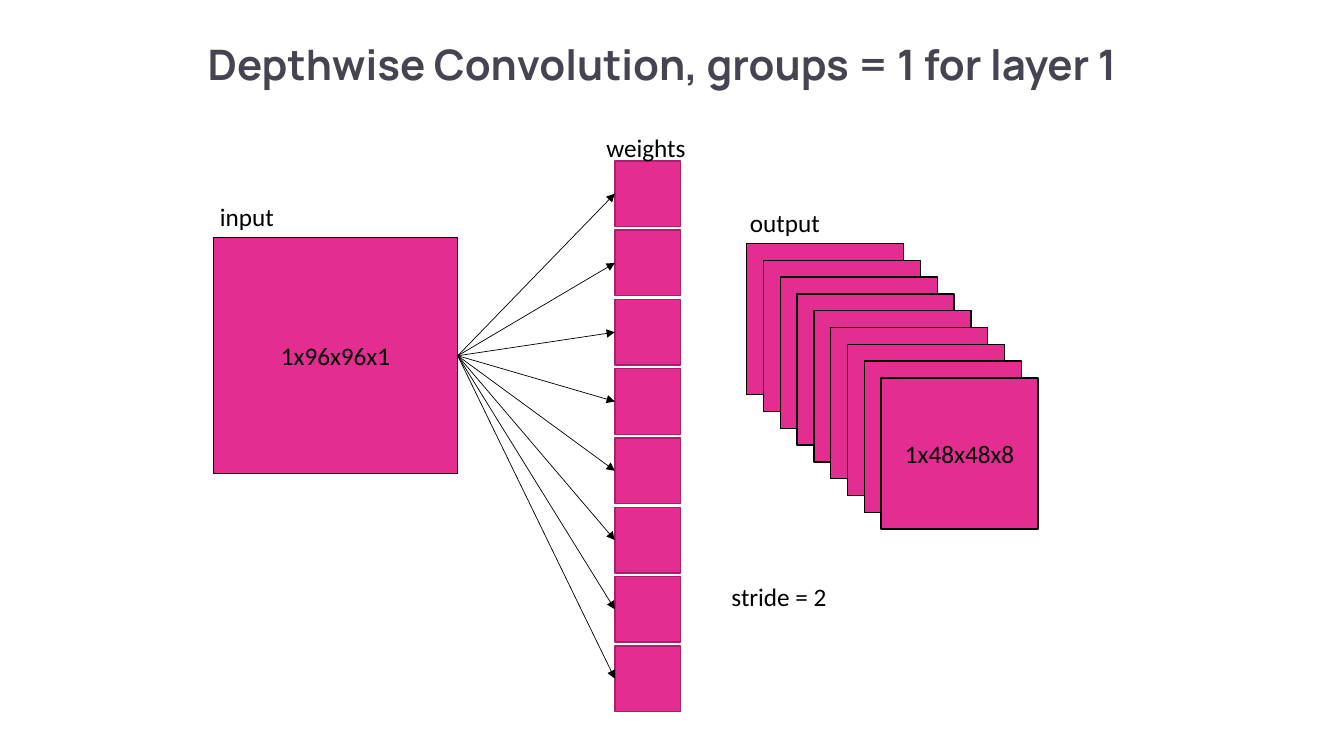
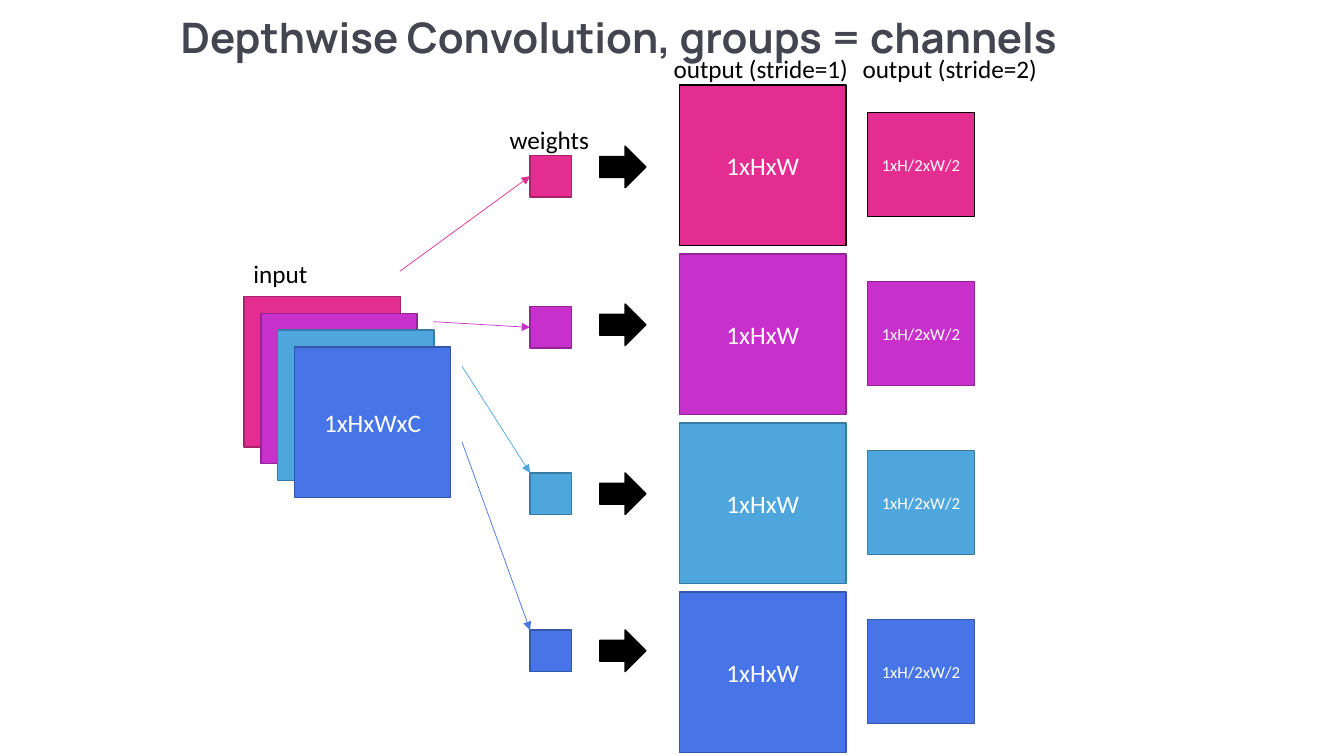
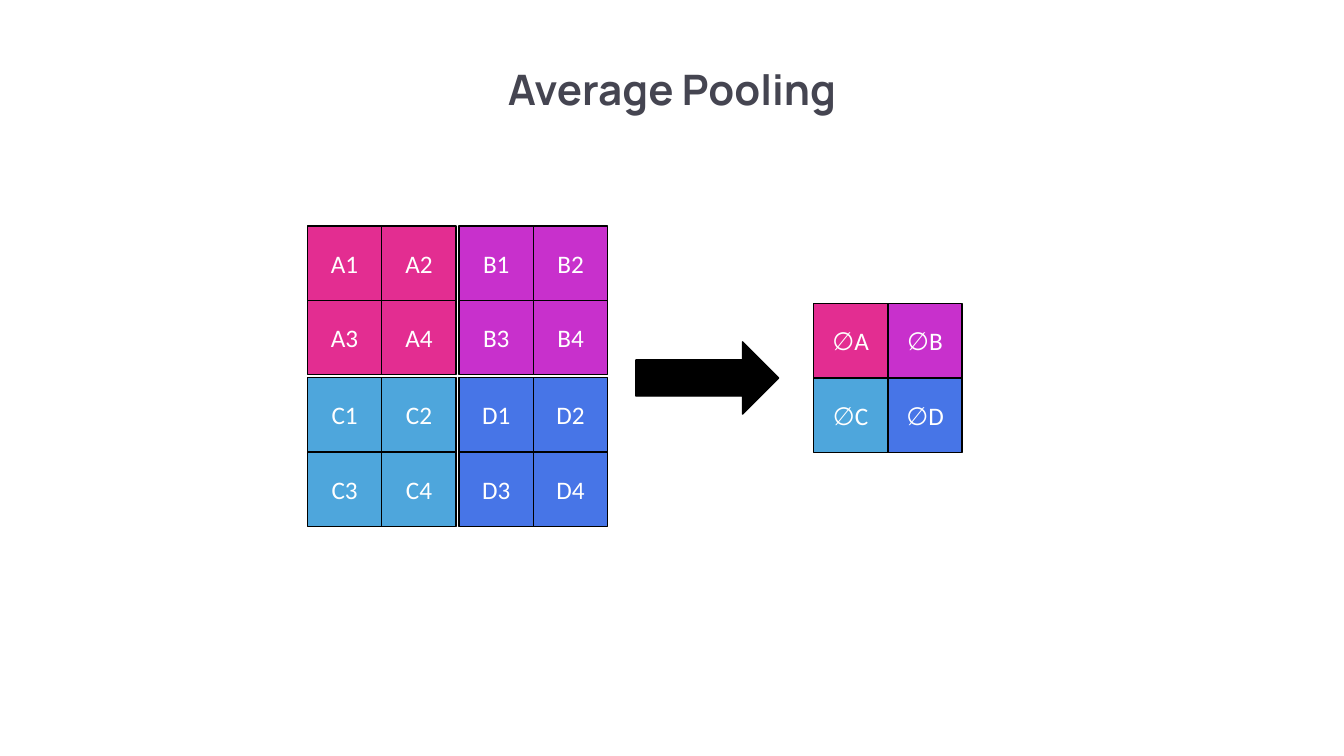
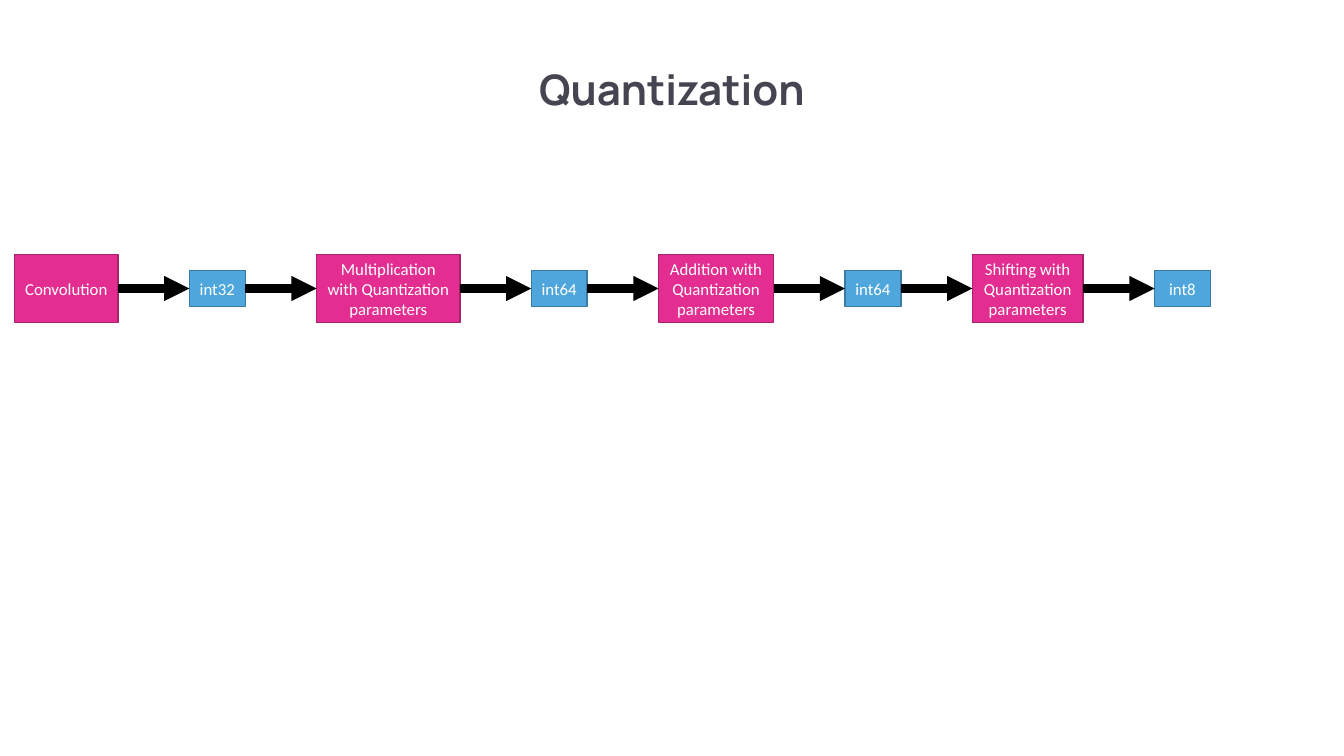
from lxml import etree
from pptx import Presentation
from pptx.dml.color import RGBColor
from pptx.enum.shapes import MSO_CONNECTOR, MSO_SHAPE
from pptx.enum.text import MSO_ANCHOR, MSO_AUTO_SIZE, PP_ALIGN
from pptx.oxml.ns import qn
from pptx.util import Emu, Pt

RECT = MSO_SHAPE.RECTANGLE
ARROW = MSO_SHAPE.RIGHT_ARROW
LINE = MSO_CONNECTOR.STRAIGHT
MID = MSO_ANCHOR.MIDDLE
LEFT, CENTER = PP_ALIGN.LEFT, PP_ALIGN.CENTER
FIT = MSO_AUTO_SIZE.SHAPE_TO_FIT_TEXT

COLS, ROWS = 160, 90  # square cells over a 16:9 slide
CELL = 76200  # one twelfth of an inch
COLORS = {
    "ink": "454551", "black": "000000", "white": "FFFFFF",
    "pink": "E32D91", "pink edge": "A8216B",
    "plum": "C830CC", "plum edge": "942497",
    "sky": "4EA6DC", "sky edge": "3A7BA3",
    "blue": "4775E7", "blue edge": "3557AB",
}
HUES = ["pink", "plum", "sky", "blue"]


def cells(*spans):
    return [Emu(round(span * CELL)) for span in spans]


def tint(name):
    return RGBColor.from_string(COLORS[name])


class Deck:
    """Holds the style and the current slide; lengths are grid cells."""

    def __init__(self):
        self.show = Presentation()
        self.show.slide_width, self.show.slide_height = cells(COLS, ROWS)
        self.slide = None

    def page(self, title, left, top, wide):
        self.slide = self.show.slides.add_slide(self.show.slide_layouts[6])
        self.text(title, left, top, wide, 7.3, 30, "Manrope", "ink", CENTER, True)

    def label(self, frame, text, size, font, color, align, bold=False):
        para = frame.paragraphs[0]
        para.text = text
        para.alignment = align
        para.font.size = Pt(size)
        para.font.name = font
        para.font.bold = bold
        para.font.color.rgb = tint(color)

    def text(self, text, left, top, wide, high=4.8, size=18, font="Calibri",
             color="black", align=LEFT, bold=False):
        frame = self.slide.shapes.add_textbox(*cells(left, top, wide, high)).text_frame
        frame.word_wrap = False
        frame.auto_size = FIT
        self.label(frame, text, size, font, color, align, bold)

    def box(self, left, top, wide, high, fill, edge=None, text="", size=18,
            color="white", kind=RECT):
        shape = self.slide.shapes.add_shape(kind, *cells(left, top, wide, high))
        shape.shadow.inherit = False
        shape.fill.solid()
        shape.fill.fore_color.rgb = tint(fill)
        shape.line.color.rgb = tint(edge or fill + " edge")
        shape.line.width = Pt(1)
        if text:
            frame = shape.text_frame
            frame.word_wrap = " " in text
            frame.vertical_anchor = MID
            self.label(frame, text, size, "Calibri", color, CENTER)
        return shape

    def arrow(self, left, top, wide, high):
        self.box(left, top, wide, high, "black", "black", kind=ARROW)

    def link(self, start, end, color="black", width=0.5):
        """Joins points, or the right side of one box to the left of another."""
        free = [cells(*p) if isinstance(p, tuple) else cells(0, 0)
                for p in (start, end)]
        line = self.slide.shapes.add_connector(LINE, *free[0], *free[1])
        if not isinstance(start, tuple):
            line.begin_connect(start, 3)
        if not isinstance(end, tuple):
            line.end_connect(end, 1)
        line.line.color.rgb = tint(color)
        line.line.width = Pt(width)
        props = line.element.spPr
        etree.SubElement(props.find(qn("a:ln")), qn("a:tailEnd"), type="triangle")
        etree.SubElement(props, qn("a:effectLst"))


def first(deck):
    deck.page("Depthwise Convolution, groups = 1 for layer 1", 20.3, 4, 117.1)
    source = deck.box(25.4, 28.3, 29.1, 28.1, "pink", "black", "1x96x96x1",
                      color="black")
    # One weight per output channel
    for i in range(8):
        weight = deck.box(73.2, 19.15 + 8.25 * i, 7.8, 7.8, "pink")
        deck.link(source, weight)
    # Stack of outputs, the front one labelled
    for i in range(9):
        deck.box(88.9 + 2 * i, 29 + 2 * i, 18.7, 18, "pink", "black",
                 "1x48x48x8" if i == 8 else "", color="black")
    deck.text("input", 25, 23.4, 8.9)
    deck.text("weights", 71, 15.2, 12)
    deck.text("output", 88.1, 24.1, 10.8)
    deck.text("stride = 2", 85.9, 68.6, 13.9)


def second(deck):
    deck.page("Depthwise Convolution, groups = channels", 17.4, 0.75, 112.6)
    tops = [18.5, 36.5, 56.3, 75]
    heads = [17.4, 36.2, 56.3, 75]
    starts = [(47.6, 32.3), (51.6, 38.3), (55, 43.6), (55, 52.6)]
    # One channel per colour
    for i, hue in enumerate(HUES):
        deck.box(29.05 + 2 * i, 35.3 + 2 * i, 18.6, 17.9, hue,
                 text="1xHxWxC" if i == 3 else "")
        weight = deck.box(63.1, tops[i], 4.95, 4.95, hue)
        deck.link(starts[i], weight if i < 2 else (63.1, tops[i]), hue)
        deck.arrow(71.4, heads[i], 5.5, 4.95)
        edge = None if i else "black"
        drop = 20.12 * i
        deck.box(80.9, 10.1 + drop, 19.8, 19.1, hue, edge, "1xHxW")
        deck.box(103.3, 13.4 + drop, 12.7, 12.4, hue, edge, "1xH/2xW/2", 12)
    deck.text("input", 29, 30.2, 8.9)
    deck.text("weights", 59.5, 14.2, 12)
    deck.text("output (stride=1)", 79, 5.8, 23.4)
    deck.text("output (stride=2)", 101.5, 5.8, 23.4)


def third(deck):
    deck.page("Average Pooling", 57.5, 7, 45)
    side, pitch = 8.85, 18.05
    for i, (name, hue) in enumerate(zip("ABCD", HUES)):
        row, col = divmod(i, 2)
        # Four values of the block
        for j in range(4):
            down, over = divmod(j, 2)
            deck.box(36.6 + pitch * col + side * over,
                     26.9 + pitch * row + side * down,
                     side, side, hue, "black", f"{name}{j + 1}")
        # Their average
        deck.box(96.85 + side * col, 36.15 + side * row, side, side,
                 hue, "black", f"∅{name}")
    deck.arrow(75.7, 40.7, 17, 8.6)


def fourth(deck):
    deck.page("Quantization", 61.9, 7, 36.2)
    steps = [
        ("Convolution", 12.3), ("int32", 6.65),
        ("Multiplication with Quantization parameters", 17.05), ("int64", 6.65),
        ("Addition with Quantization parameters", 13.7), ("int64", 6.65),
        ("Shifting with Quantization parameters", 13.2), ("int8", 6.65),
    ]
    left, mid, gap = 1.75, 34.35, 8.5
    last = None
    # Operations alternate with the types they yield
    for i, (text, wide) in enumerate(steps):
        hue, high = ("sky", 4.3) if i % 2 else ("pink", 8.1)
        step = deck.box(left, mid - high / 2, wide, high, hue, text=text, size=12)
        if last:
            deck.link(last, step, width=6)
        last = step
        left += wide + gap


def main():
    deck = Deck()
    for build in (first, second, third, fourth):
        build(deck)
    deck.show.save("out.pptx")


if __name__ == "__main__":
    main()
